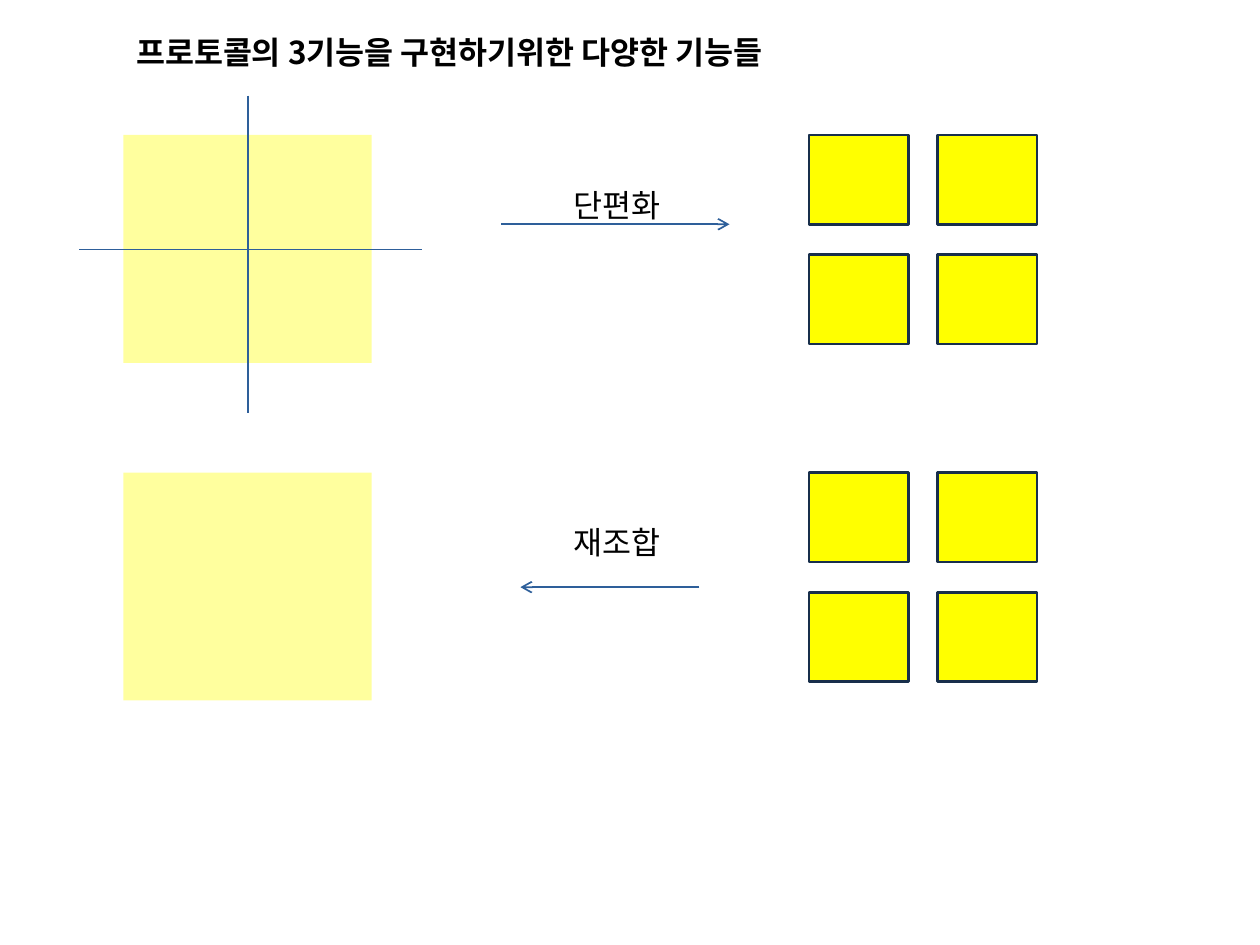
"""Build a slide on protocol fragmentation and reassembly."""
import pptx
import pptx.dml.color
import pptx.enum.shapes
import pptx.enum.text
import pptx.oxml
import pptx.oxml.ns
import pptx.util
from pptx.util import Inches

FONT = "Noto Sans CJK KR"


def color(value):
    return pptx.dml.color.RGBColor.from_string(value)


def write(box, text, bold=False):
    frame = box.text_frame
    frame.word_wrap = True
    frame.auto_size = pptx.enum.text.MSO_AUTO_SIZE.SHAPE_TO_FIT_TEXT
    frame.vertical_anchor = pptx.enum.text.MSO_ANCHOR.TOP
    para = frame.paragraphs[0]
    para.alignment = pptx.enum.text.PP_ALIGN.LEFT
    span = para.add_run()
    span.text = text
    span.font.size = pptx.util.Pt(18)
    span.font.bold = bold
    span.font.name = FONT
    span.font.color.rgb = color("000000")
    east_asian = pptx.oxml.parse_xml(f'<a:ea {pptx.oxml.ns.nsdecls("a")} typeface="{FONT}"/>')
    span.font._element.find(pptx.oxml.ns.qn("a:latin")).addnext(east_asian)


deck = pptx.Presentation()
deck.slide_width = Inches(10)
deck.slide_height = Inches(7.5)
slide = deck.slides.add_slide(deck.slide_layouts[5])
shapes = slide.shapes
rectangle = pptx.enum.shapes.MSO_SHAPE.RECTANGLE

title = shapes.title
title.left, title.top = Inches(0.98), Inches(0.21)
title.width, title.height = Inches(5.67), Inches(0.4)
write(title, "프로토콜의 3기능을 구현하기위한 다양한 기능들", bold=True)

for top, label, label_top in [(1.07, "단편화", 1.43), (3.75, "재조합", 4.1)]:
    whole = shapes.add_shape(rectangle, Inches(0.98), Inches(top), Inches(1.97), Inches(1.81))
    whole.shadow.inherit = False
    whole.fill.solid()
    whole.fill.fore_color.rgb = color("FFFF00")
    whole.line.fill.background()
    alpha = pptx.oxml.parse_xml(f'<a:alpha {pptx.oxml.ns.nsdecls("a")} val="38000"/>')
    whole._element.spPr.find(".//" + pptx.oxml.ns.qn("a:srgbClr")).append(alpha)

    for row in range(2):
        for column in range(2):
            fragment = shapes.add_shape(
                rectangle, Inches(6.42 + 1.02 * column), Inches(top + 0.95 * row),
                Inches(0.79), Inches(0.71))
            fragment.shadow.inherit = False
            fragment.fill.solid()
            fragment.fill.fore_color.rgb = color("FFFF00")
            fragment.line.color.rgb = color("182F4B")
            fragment.line.width = pptx.util.Pt(1.5)

    write(shapes.add_textbox(Inches(4.45), Inches(label_top), Inches(1.18), Inches(0.39)), label)

for start_x, start_y, end_x, end_y, has_arrow in [
    (0.63, 1.98, 3.35, 1.98, False),
    (1.97, 0.76, 1.97, 3.28, False),
    (3.98, 1.78, 5.79, 1.78, True),
    (5.55, 4.66, 4.13, 4.66, True),
]:
    line = shapes.add_connector(
        pptx.enum.shapes.MSO_CONNECTOR.STRAIGHT,
        Inches(start_x), Inches(start_y), Inches(end_x), Inches(end_y))
    line.line.color.rgb = color("2E5F9A")
    line.line.width = pptx.util.Pt(1)
    if has_arrow:
        line.line._get_or_add_ln().append(
            pptx.oxml.parse_xml(f'<a:tailEnd {pptx.oxml.ns.nsdecls("a")} type="arrow"/>'))
    line._element.spPr.append(
        pptx.oxml.parse_xml(f'<a:effectLst {pptx.oxml.ns.nsdecls("a")}/>'))

deck.save("out.pptx")
